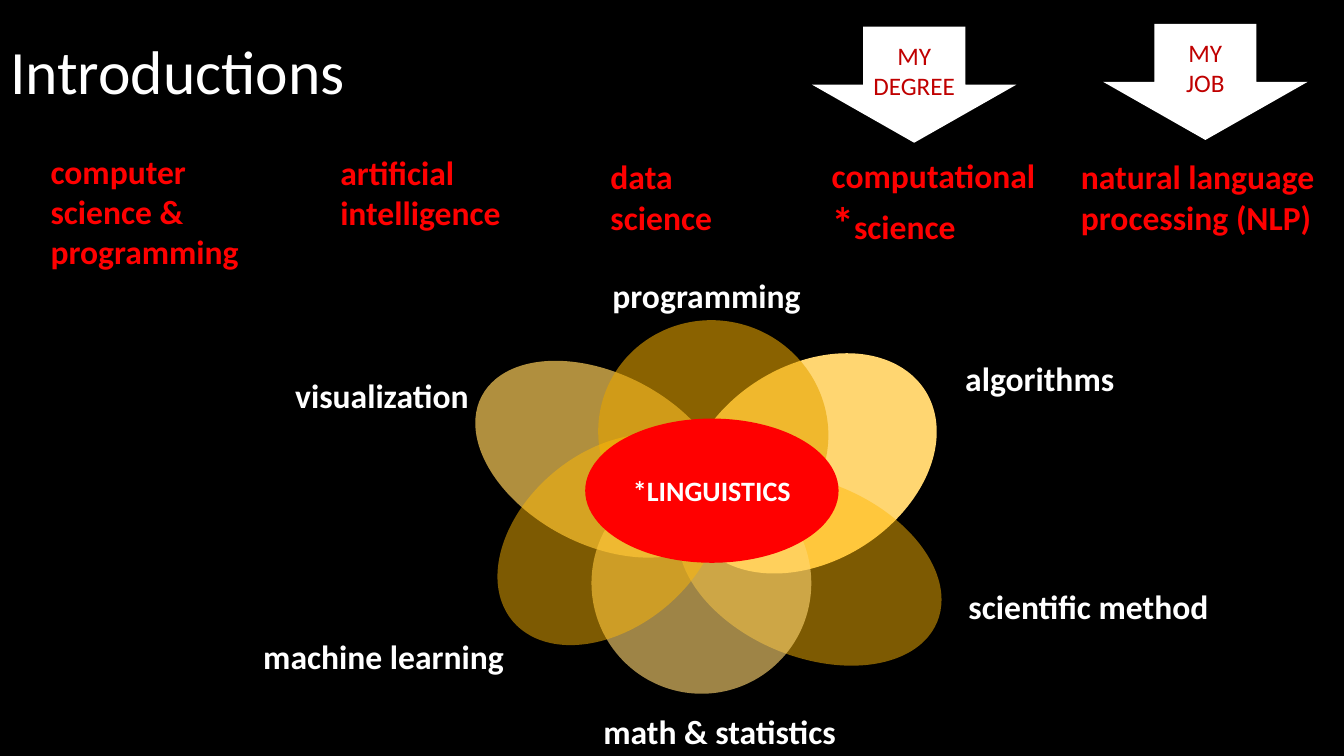
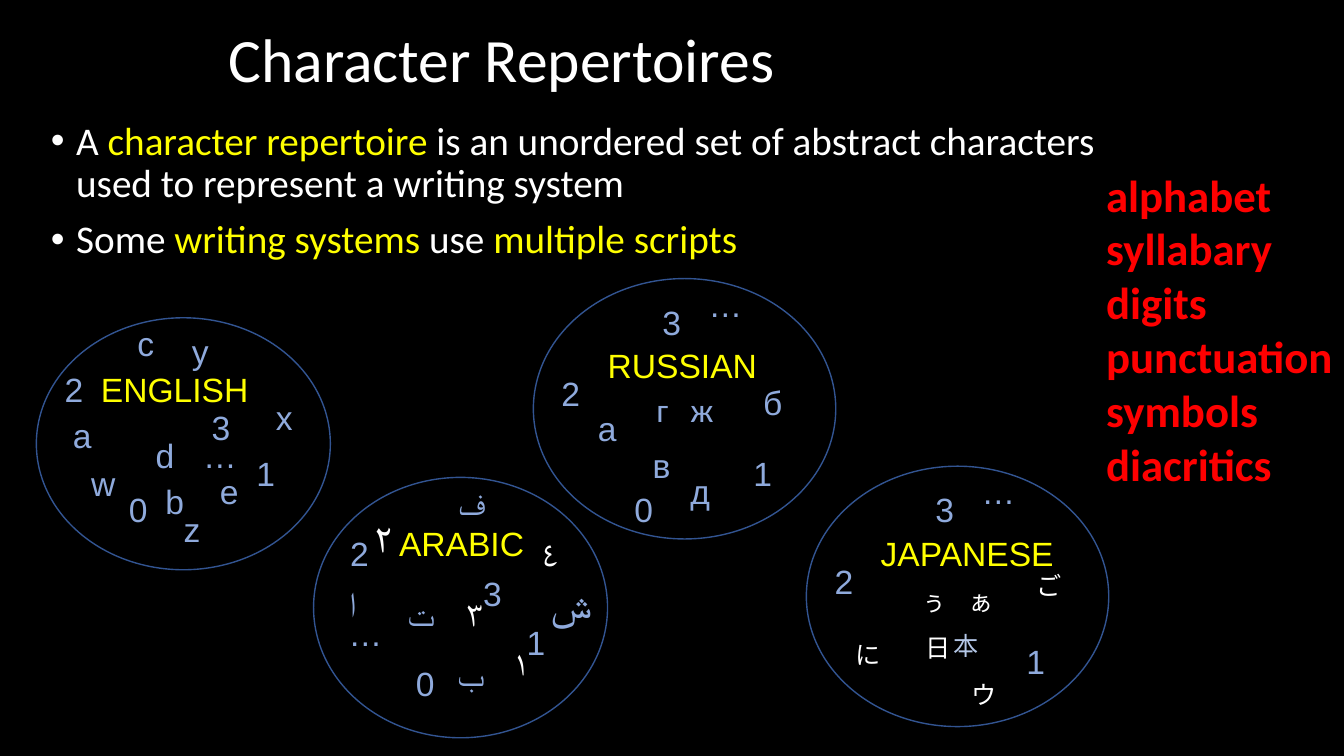
from dataclasses import dataclass

from lxml import etree
from pptx import Presentation
from pptx.dml.color import RGBColor
from pptx.enum import shapes, text
from pptx.oxml.ns import qn
from pptx.util import Pt


@dataclass(frozen=True)
class Theme:
    background: str = "000000"
    white: str = "FFFFFF"
    red: str = "FF0000"
    dark_red: str = "C00000"
    yellow: str = "FFFF00"
    glyph: str = "8FAADC"
    pale: str = "B4C7E7"
    outline: str = "325491"
    font: str = "Calibri"
    glyph_font: str = "Arial"
    kanji_font: str = "Roboto"
    title: int = 44
    large: int = 32
    body: int = 28
    label: int = 24
    core: int = 20
    small: int = 18


THEME = Theme()
LEFT, CENTER, RIGHT = (text.PP_ALIGN.LEFT, text.PP_ALIGN.CENTER, text.PP_ALIGN.RIGHT)
OVAL, ARROW = shapes.MSO_SHAPE.OVAL, shapes.MSO_SHAPE.DOWN_ARROW

# Introductions: fields as (box, runs), skills as (box, alignment, label)
FIELDS = [
    ((29, 104, 184, 94), [("computer science & programming", THEME.label)]),
    ((236, 105, 158, 66), [("artificial intelligence", THEME.label)]),
    ((429, 108, 130, 66), [("data science", THEME.label)]),
    ((587, 107, 201, 75), [("computational ", THEME.label), ("*", THEME.large),
                           ("science", THEME.label)]),
    ((765, 108, 194, 66), [("natural language processing (NLP)", THEME.label)]),
]
SKILLS = [
    ((415, 193, 164, 36), RIGHT, "programming"),
    ((639, 252, 164, 36), RIGHT, "algorithms"),
    ((662, 415, 231, 36), CENTER, "scientific method"),
    ((395, 504, 238, 36), CENTER, "math & statistics"),
    ((136, 451, 231, 36), RIGHT, "machine learning"),
    ((178, 264, 164, 36), RIGHT, "visualization"),
]
# Petals: box, rotation, colour, opacity in percent
PETALS = [
    ((369, 231, 122, 194), 297.6, "FFD05B", 69),
    ((482, 261, 194, 140), 327.7, "FFD671", 100),
    ((480, 344, 197, 125), 22.6, "FFB805", 49),
    ((422, 338, 158, 157), 265.3, "FFD671", 62),
    ((427, 229, 165, 161), 22.6, "E6A400", 60),
    ((345, 323, 181, 125), 140.1, "FFB805", 49),
]
CORE = ((418, 299, 181, 103), "*LINGUISTICS")
ARROWS = [((580, 19, 146, 83), ["MY", "DEGREE"]),
          ((788, 17, 146, 83), ["MY", "JOB"])]

# Character Repertoires
BULLETS = [
    [("A ", THEME.white), ("character repertoire", THEME.yellow),
     (" is an unordered set of abstract characters used to represent a writing system",
      THEME.white)],
    [("Some ", THEME.white), ("writing systems ", THEME.yellow),
     ("use ", THEME.white), ("multiple scripts", THEME.yellow)],
]
KINDS = ["alphabet", "syllabary", "digits", "punctuation", "symbols", "diacritics"]

# Glyph styles: font, size, colour
STYLES = {
    "plain": (THEME.glyph_font, THEME.label, THEME.glyph),
    "large": (THEME.glyph_font, THEME.large, THEME.glyph),
    "calibri": (THEME.font, THEME.label, THEME.glyph),
    "white": (THEME.glyph_font, THEME.label, THEME.white),
    "white large": (THEME.glyph_font, THEME.body, THEME.white),
    "kana": (THEME.font, THEME.small, THEME.white),
    "kanji": (THEME.kanji_font, THEME.small, THEME.pale),
}
# Glyphs as (character, x, y), measured from the corner of their oval
COMMON = [("1", 150, 121), ("2", 13, 64), ("3", 85, 13), ("…", 118, 0)]
REPERTOIRES = [
    ("ENGLISH", (26, 227, 210, 180), (39, 33), {
        "plain": [("a", 19, 66), ("b", 85, 113), ("c", 65, 0), ("d", 78, 80),
                  ("e", 124, 106), ("w", 32, 100), ("…", 112, 80), ("x", 164, 53),
                  ("0", 59, 119), ("1", 150, 93), ("y", 104, 6), ("z", 98, 133),
                  ("2", 13, 33), ("3", 118, 60)]}),
    ("RUSSIAN", (381, 199, 216, 186), (46, 44), {
        "plain": COMMON + [("0", 65, 147), ("а", 39, 89), ("б", 157, 70),
                           ("в", 78, 115), ("д", 105, 134)],
        "calibri": [("г", 81, 75), ("ж", 105, 75)]}),
    ("ARABIC", (224, 341, 210, 186), (54, 29), {
        "plain": [("1", 145, 100), ("2", 19, 36), ("3", 114, 65), ("0", 66, 129),
                  ("…", 18, 93), ("ا", 18, 72), ("ب", 96, 122), ("ت", 60, 79),
                  ("ف", 96, 0)],
        "large": [("ش", 162, 65)],
        "white": [("١", 135, 114), ("٣", 102, 79), ("٤", 156, 36)],
        "white large": [("٢", 36, 22)]}),
    ("JAPANESE", (576, 333, 216, 186), (46, 44), {
        "plain": COMMON,
        "kana": [("ぅ", 75, 82), ("ぁ", 109, 82), ("に", 28, 120), ("ご", 157, 71),
                 ("日", 78, 115), ("ウ", 111, 149)],
        "kanji": [("本", 98, 114)]}),
]


def points(box):
    return [Pt(value) for value in box]


def place(shape, box):
    shape.left, shape.top, shape.width, shape.height = points(box)


def add_run(paragraph, words, size, color, font=THEME.font, bold=False):
    run = paragraph.add_run()
    run.text = words
    run.font.name, run.font.size, run.font.bold = font, Pt(size), bold
    run.font.color.rgb = RGBColor.from_string(color)


def add_paragraphs(frame, count, align=LEFT):
    paragraphs = [frame.paragraphs[0]] + [frame.add_paragraph() for _ in range(count - 1)]
    for paragraph in paragraphs:
        paragraph.alignment = align
    return paragraphs


def add_label(parent, box, lines, align=LEFT):
    """Text box; each line is a list of argument tuples for add_run."""
    frame = parent.shapes.add_textbox(*points(box)).text_frame
    frame.word_wrap = True
    for paragraph, runs in zip(add_paragraphs(frame, len(lines), align), lines):
        for run in runs:
            add_run(paragraph, *run)


def add_figure(parent, kind, box, fill=None, line=None):
    shape = parent.shapes.add_shape(kind, *points(box))
    shape.shadow.inherit = False
    if fill:
        shape.fill.solid()
        shape.fill.fore_color.rgb = RGBColor.from_string(fill)
    else:
        shape.fill.background()
    if line:
        shape.line.color.rgb = RGBColor.from_string(line)
        shape.line.width = Pt(1)
    else:
        shape.line.fill.background()
    return shape


def write_in(shape, lines, size, color, bold=False):
    frame = shape.text_frame
    frame.margin_left = frame.margin_right = Pt(0)
    frame.vertical_anchor = text.MSO_ANCHOR.MIDDLE
    for paragraph, words in zip(add_paragraphs(frame, len(lines), CENTER), lines):
        add_run(paragraph, words, size, color, bold=bold)


def set_opacity(shape, percent):
    color = shape.fill._xPr.find(qn("a:solidFill"))[0]
    etree.SubElement(color, qn("a:alpha"), val=str(percent * 1000))


def set_bullet(paragraph, margin, indent):
    properties = paragraph._p.get_or_add_pPr()
    properties.set("marL", str(Pt(margin)))
    properties.set("indent", str(Pt(indent)))
    etree.SubElement(properties, qn("a:buFont"), typeface=THEME.glyph_font)
    etree.SubElement(properties, qn("a:buChar"), char="•")


def new_slide(presentation, layout, title, box):
    slide = presentation.slides.add_slide(presentation.slide_layouts.get_by_name(layout))
    place(slide.shapes.title, box)
    frame = slide.shapes.title.text_frame
    frame.vertical_anchor = text.MSO_ANCHOR.MIDDLE
    paragraph = add_paragraphs(frame, 1)[0]
    paragraph.line_spacing = 0.9
    add_run(paragraph, title, THEME.title, THEME.white)
    return slide


def build_introductions(presentation):
    slide = new_slide(presentation, "Title Only", "Introductions", (0, 1, 587, 104))
    # Flower of skills
    flower = slide.shapes.add_group_shape()
    for box, rotation, color, opacity in PETALS:
        petal = add_figure(flower, OVAL, box, color)
        petal.rotation = rotation
        if opacity < 100:
            set_opacity(petal, opacity)
    box, words = CORE
    write_in(add_figure(slide, OVAL, box, THEME.red), [words], THEME.core, THEME.white, True)
    for box, align, words in SKILLS:
        add_label(slide, box, [[(words, THEME.label, THEME.white, THEME.font, True)]], align)
    # Fields and the arrows above them
    for box, runs in FIELDS:
        add_label(slide, box, [[(words, size, THEME.red, THEME.font, True)
                                for words, size in runs]])
    for box, lines in ARROWS:
        write_in(add_figure(slide, ARROW, box, THEME.white), lines,
                 THEME.small, THEME.dark_red)


def build_repertoires(presentation):
    slide = new_slide(presentation, "Title and Content", "Character Repertoires",
                      (156, 0, 588, 90))
    # Definition
    body = slide.placeholders[1]
    place(body, (4, 83, 845, 118))
    paragraphs = add_paragraphs(body.text_frame, len(BULLETS))
    for number, (paragraph, runs) in enumerate(zip(paragraphs, BULLETS)):
        paragraph.line_spacing = 0.9
        paragraph.space_before = Pt(10 if number else 0)
        set_bullet(paragraph, 43.2, -18)
        for words, color in runs:
            add_run(paragraph, words, THEME.body, color)
    # Ovals with their characters
    for name, oval, (name_x, name_y), glyphs in REPERTOIRES:
        left, top = oval[:2]
        group = slide.shapes.add_group_shape()
        add_figure(group, OVAL, oval, line=THEME.outline)
        add_label(group, (left + name_x, top + name_y, 150, 36),
                  [[(name, THEME.label, THEME.yellow, THEME.glyph_font)]])
        for style, characters in glyphs.items():
            font, size, color = STYLES[style]
            for character, x, y in characters:
                add_label(group, (left + x, top + y, 40, 36),
                          [[(character, size, color, font)]])
    # Kinds of characters
    add_label(slide, (783, 116, 177, 240),
              [[(kind, THEME.large, THEME.red, THEME.font, True)] for kind in KINDS])


def main():
    presentation = Presentation()
    presentation.slide_width, presentation.slide_height = Pt(960), Pt(540)
    background = presentation.slide_master.background.fill
    background.solid()
    background.fore_color.rgb = RGBColor.from_string(THEME.background)
    build_introductions(presentation)
    build_repertoires(presentation)
    presentation.save("out.pptx")


if __name__ == "__main__":
    main()
